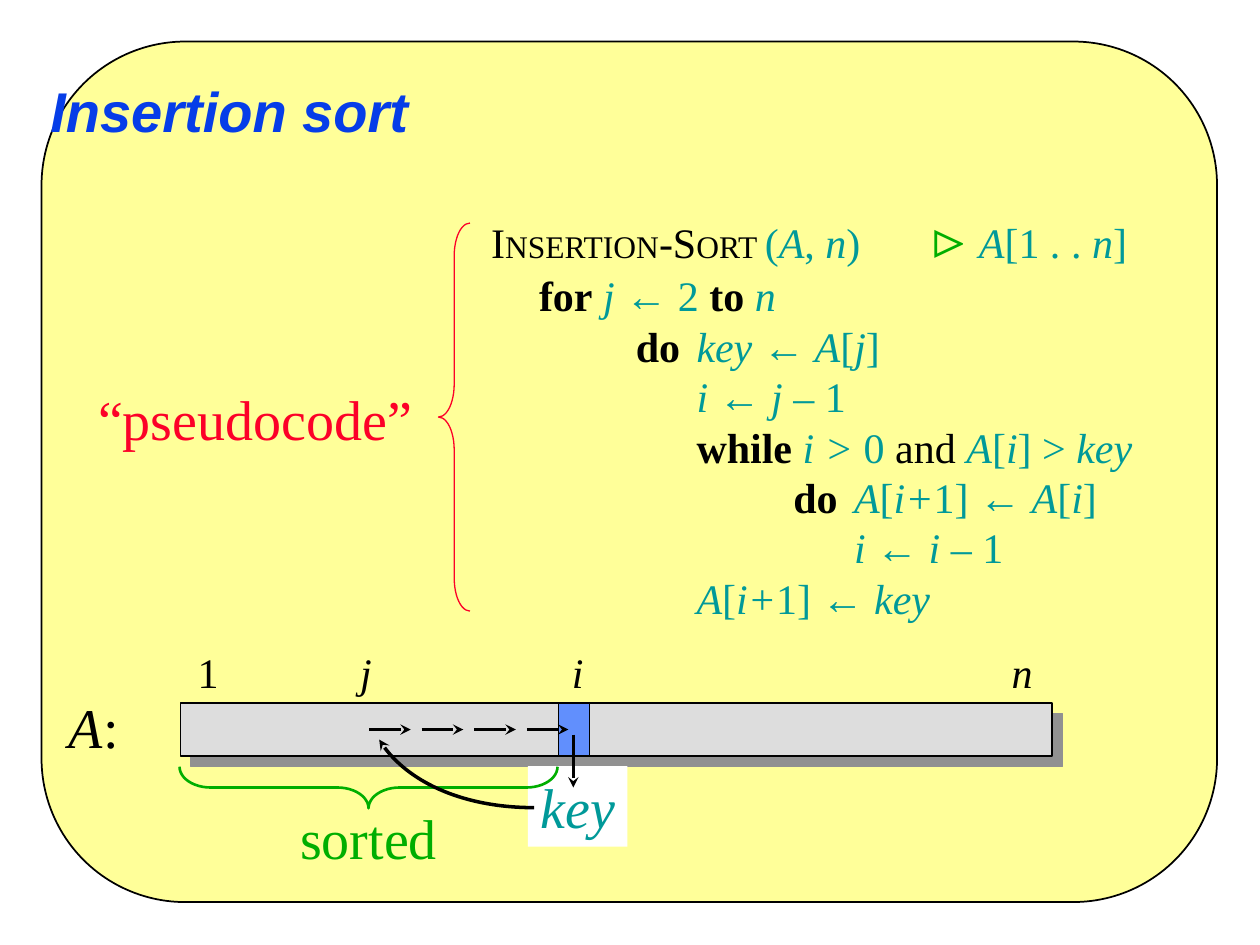
from lxml import etree
from pptx import Presentation
from pptx.dml.color import RGBColor
from pptx.enum.shapes import MSO_CONNECTOR, MSO_SHAPE
from pptx.enum.text import MSO_ANCHOR, MSO_AUTO_SIZE, PP_ALIGN
from pptx.oxml.ns import qn
from pptx.util import Inches, Pt

ROUNDED, RECTANGLE, BRACE = MSO_SHAPE.ROUNDED_RECTANGLE, MSO_SHAPE.RECTANGLE, MSO_SHAPE.LEFT_BRACE
STRAIGHT = MSO_CONNECTOR.STRAIGHT
MIDDLE, TOP = MSO_ANCHOR.MIDDLE, MSO_ANCHOR.TOP
LEFT, CENTER = PP_ALIGN.LEFT, PP_ALIGN.CENTER
FIT_SHAPE, NO_FIT = MSO_AUTO_SIZE.SHAPE_TO_FIT_TEXT, MSO_AUTO_SIZE.NONE

BLACK, TEAL, GREEN, RED = "000000", "009999", "00AE00", "FC0128"


def color(hex_value):
    return RGBColor.from_string(hex_value)


def add_runs(paragraph, runs):
    """Append (text, format) pairs, where format overrides the serif body style."""
    for text, format_values in runs:
        run = paragraph.add_run()
        run.text = text
        values = {"name": "Times New Roman", "size": 24, "bold": False,
                  "italic": False, "color": BLACK} | format_values
        run.font.color.rgb = color(values.pop("color"))
        values["size"] = Pt(values["size"])
        for name, value in values.items():
            setattr(run.font, name, value)


presentation = Presentation()
presentation.slide_width, presentation.slide_height = Inches(10), Inches(7.5)
slide = presentation.slides.add_slide(presentation.slide_layouts[5])
shapes = slide.shapes

# Background panel with the title on top of it
panel = shapes.add_shape(ROUNDED, Inches(0.33), Inches(0.33), Inches(9.33), Inches(6.83))
panel.adjustments[0] = 0.167
panel.fill.solid()
panel.fill.fore_color.rgb = color("FFFF99")
panel.line.color.rgb = color(BLACK)
panel.line.width = Pt(1)
panel.shadow.inherit = False

title = shapes.title
panel.element.addnext(title.element)
title.left, title.top, title.width, title.height = Inches(0.3), Inches(0.33), Inches(9), Inches(1.08)
title.text_frame.vertical_anchor = MIDDLE
title.text_frame.auto_size = NO_FIT
title.text_frame.paragraphs[0].alignment = LEFT
add_runs(title.text_frame.paragraphs[0], [
    ("Insertion sort", {"name": "Arial", "size": 32, "bold": True, "italic": True, "color": "063DE8"})])

# Pseudocode
PLAIN, SMALL, KEYWORD = {}, {"size": 18}, {"bold": True}
MATH, VARIABLE = {"color": TEAL}, {"color": TEAL, "italic": True}
CODE_LINES = [
    [("I", PLAIN), ("NSERTION", SMALL), ("-S", PLAIN), ("ORT ", SMALL), ("(", MATH),
     ("A", VARIABLE), (", ", MATH), ("n", VARIABLE), (")\t", MATH),
     ("⊳ ", {"size": 32, "color": GREEN}), ("A", VARIABLE), ("[1 . . ", MATH),
     ("n", VARIABLE), ("]", MATH)],
    [("\tfor\t ", KEYWORD), ("j ", VARIABLE), ("← 2 ", MATH), ("to ", KEYWORD), ("n", VARIABLE)],
    [("\t\tdo\t", KEYWORD), ("key ← A", VARIABLE), ("[", MATH), ("j", VARIABLE), ("]", MATH)],
    [("\t\t\ti ← j – ", VARIABLE), ("1", MATH)],
    [("\t\t\twhile\t ", KEYWORD), ("i > ", VARIABLE), ("0", MATH), (" and ", PLAIN),
     ("A", VARIABLE), ("[", MATH), ("i", VARIABLE), ("] > ", MATH), ("key", VARIABLE)],
    [("\t\t\t\tdo\t", KEYWORD), ("A", VARIABLE), ("[", MATH), ("i+", VARIABLE),
     ("1] ← ", MATH), ("A", VARIABLE), ("[", MATH), ("i", VARIABLE), ("]", MATH)],
    [("\t\t\t\t\ti ← i – ", VARIABLE), ("1", MATH)],
    [("\t\t\tA", VARIABLE), ("[", MATH), ("i+", VARIABLE), ("1] ", MATH), ("← key", VARIABLE)],
]
TAB_STOPS = [(0.38, "l"), (1.5, "r"), (1.63, "l"), (2.75, "r"), (2.88, "l"), (3.5, "l"), (4, "l")]

code_box = shapes.add_textbox(Inches(3.8), Inches(1.56), Inches(6.2), Inches(3.44))
code_frame = code_box.text_frame
code_frame.word_wrap = False
code_frame.auto_size = FIT_SHAPE
for index, runs in enumerate(CODE_LINES):
    paragraph = code_frame.add_paragraph() if index else code_frame.paragraphs[0]
    if index:
        paragraph.line_spacing = Pt(28.8)
    tab_list = etree.SubElement(paragraph._p.get_or_add_pPr(), qn("a:tabLst"))
    for position, alignment in TAB_STOPS:
        etree.SubElement(tab_list, qn("a:tab"), pos=str(Inches(position)), algn=alignment)
    add_runs(paragraph, runs)

# Array bar, the cell being inserted, and the box that holds the key
for left, top, width, height, fill, outlined in [
    (1.43, 5.58, 6.92, 0.42, "DDDDDD", True),
    (4.43, 5.58, 0.25, 0.42, "618FFD", True),
    (4.19, 6.08, 0.79, 0.64, "FFFFFF", False),
]:
    box = shapes.add_shape(RECTANGLE, Inches(left), Inches(top), Inches(width), Inches(height))
    box.fill.solid()
    box.fill.fore_color.rgb = color(fill)
    box.shadow.inherit = False
    if outlined:
        box.line.color.rgb = color(BLACK)
        box.line.width = Pt(0.75)
    else:
        box.line.fill.background()
    if fill == "DDDDDD":
        effects = box.element.spPr.find(qn("a:effectLst"))
        shadow = etree.SubElement(effects, qn("a:outerShdw"), blurRad="0", dist=str(Pt(8.5)),
                                  dir="2700000", algn="ctr", rotWithShape="0")
        etree.SubElement(shadow, qn("a:srgbClr"), val="919191")
key_box = box
key_box.text_frame.word_wrap = False
key_box.text_frame.auto_size = FIT_SHAPE
key_box.text_frame.vertical_anchor = TOP
key_box.text_frame.paragraphs[0].alignment = CENTER
add_runs(key_box.text_frame.paragraphs[0], [("key", VARIABLE | {"size": 32})])

# Braces around the pseudocode and under the sorted part
for left, top, width, height, rotation, curl, line_color, weight in [
    (3.48, 1.77, 0.25, 3.08, 0, 1.04, RED, 0.75),
    (2.76, 4.75, 0.33, 3, 270, 0.75, GREEN, 1.5),
]:
    brace = shapes.add_shape(BRACE, Inches(left), Inches(top), Inches(width), Inches(height))
    brace.rotation = rotation
    brace.adjustments[0] = curl
    brace.fill.background()
    brace.line.color.rgb = color(line_color)
    brace.line.width = Pt(weight)
    brace.shadow.inherit = False

# Labels
ITALIC = {"italic": True}
for left, top, width, height, alignment, runs in [
    (0.68, 3, 2.73, 0.64, LEFT, [("“pseudocode”", {"size": 32, "color": RED})]),
    (2.27, 6.33, 1.31, 0.64, CENTER, [("sorted", {"size": 32, "color": GREEN})]),
    (0.43, 5.45, 0.63, 0.64, CENTER, [("A", ITALIC | {"size": 32}), (":", {"size": 32})]),
    (1.47, 5.08, 0.36, 0.5, LEFT, [("1", PLAIN)]),
    (2.76, 5.08, 0.29, 0.5, LEFT, [("j", ITALIC)]),
    (4.44, 5.08, 0.29, 0.5, LEFT, [("i", ITALIC)]),
    (7.93, 5.08, 0.36, 0.5, LEFT, [("n", ITALIC)]),
]:
    label = shapes.add_textbox(Inches(left), Inches(top), Inches(width), Inches(height))
    label.text_frame.word_wrap = False
    label.text_frame.auto_size = FIT_SHAPE
    label.text_frame.paragraphs[0].alignment = alignment
    add_runs(label.text_frame.paragraphs[0], runs)

# Arrows: shifts to the right, the key taken out, and the key put back
segments = [(2.93 + 0.417 * step, 5.79, 3.26 + 0.417 * step, 5.79) for step in range(4)]
segments.append((4.55, 5.83, 4.55, 6.25))
arrows = [shapes.add_connector(STRAIGHT, *(Inches(value) for value in segment))
          for segment in segments]

builder = shapes.build_freeform(Inches(4.24), Inches(6.41))
builder.add_line_segments([(Inches(x), Inches(y)) for x, y in [(3.69, 6.41), (3.2, 6.19), (3.01, 5.87)]],
                          close=False)
return_arrow = builder.convert_to_shape()
return_arrow.fill.background()
# Turn the three segments into one cubic curve
outline = return_arrow.element.spPr.find(".//" + qn("a:path"))
curve = etree.SubElement(outline, qn("a:cubicBezTo"))
for segment in outline.findall(qn("a:lnTo")):
    curve.append(segment[0])
    outline.remove(segment)

for arrow in arrows + [return_arrow]:
    arrow.line.color.rgb = color(BLACK)
    arrow.line.width = Pt(2)
    properties = arrow.element.spPr
    etree.SubElement(properties.find(qn("a:ln")), qn("a:tailEnd"), type="stealth")
    etree.SubElement(properties, qn("a:effectLst"))

presentation.save("out.pptx")
